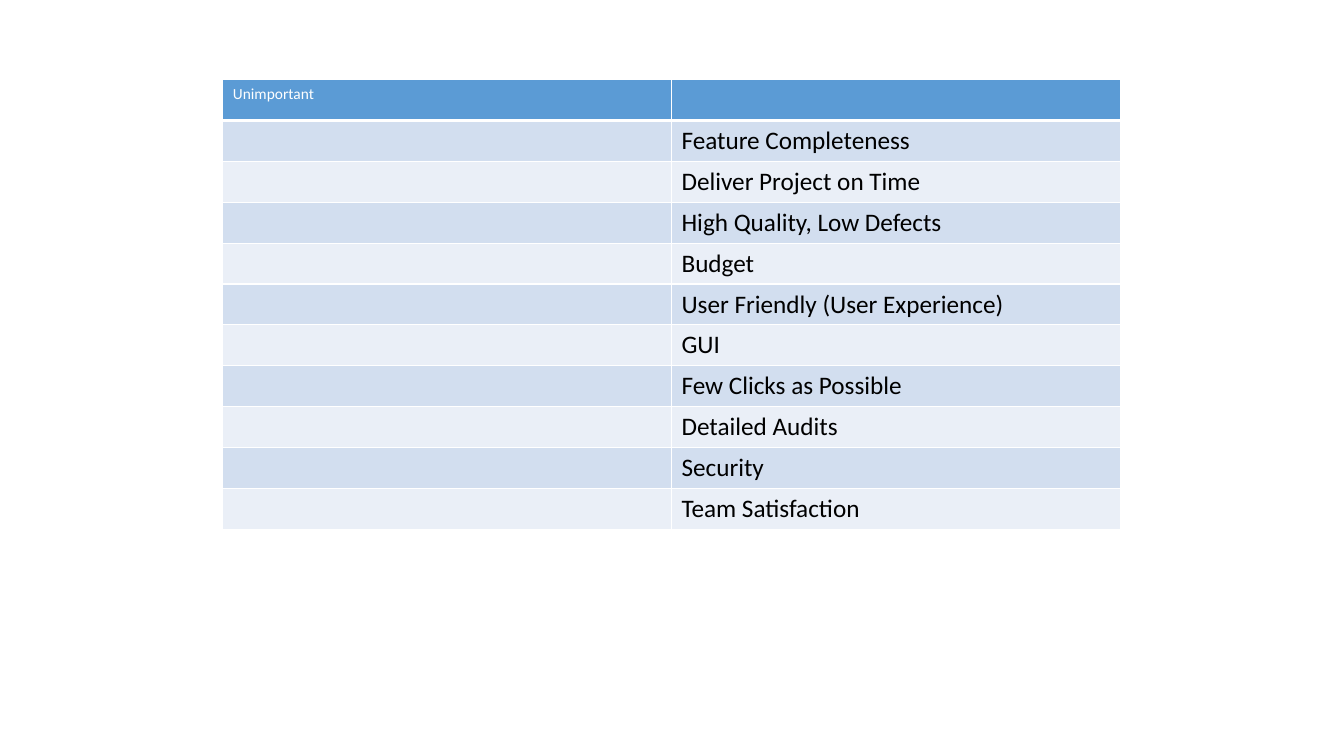
from lxml import etree
from pptx import Presentation
from pptx import util as u
from pptx.dml import color
from pptx.oxml import ns

SCALE = 9144
WHITE = "FFFFFF"
BLACK = "000000"
BLUE = "5B9BD5"
BANDS = ("D2DEEF", "EAEFF7")
GOALS = (
    "Feature Completeness",
    "Deliver Project on Time",
    "High Quality, Low Defects",
    "Budget",
    "User Friendly (User Experience)",
    "GUI",
    "Few Clicks as Possible",
    "Detailed Audits",
    "Security",
    "Team Satisfaction",
)


def px(n):
    return u.Emu(n * SCALE)


def rgb(code):
    return color.RGBColor.from_string(code)


class Deck:
    font = "Calibri"

    def __init__(self, width, height):
        self.prs = Presentation()
        self.prs.slide_width = px(width)
        self.prs.slide_height = px(height)
        self.slide = self.prs.slides.add_slide(self.prs.slide_layouts[6])

    def edge(self, cell, side, width):
        props = cell._tc.get_or_add_tcPr()
        line = etree.SubElement(props, ns.qn(f"a:ln{side}"), w=str(u.Pt(width)))
        fill = etree.SubElement(line, ns.qn("a:solidFill"))
        etree.SubElement(fill, ns.qn("a:srgbClr"), val=WHITE)

    def cell(self, cell, words, size, ink, fill, top=1, bottom=1):
        for side, width in (("L", 1), ("R", 1), ("T", top), ("B", bottom)):
            self.edge(cell, side, width)
        cell.fill.solid()
        cell.fill.fore_color.rgb = rgb(fill)
        if words:
            run = cell.text_frame.paragraphs[0].add_run()
            run.text = words
            run.font.name = self.font
            run.font.size = u.Pt(size)
            run.font.bold = False
            run.font.color.rgb = rgb(ink)

    def table(self, left, top, width, row, head, body):
        count = len(body) + 1
        frame = self.slide.shapes.add_table(
            count, len(head), px(left), px(top), px(width), px(row * count))
        grid = frame.table
        for line in grid.rows:
            line.height = px(row)
        for c, words in enumerate(head):
            self.cell(grid.cell(0, c), words, 11, WHITE, BLUE, bottom=3)
        for r, line in enumerate(body):
            for c, words in enumerate(line):
                self.cell(grid.cell(r + 1, c), words, 18, BLACK, BANDS[r % 2],
                          top=1 if r else 3)


def main():
    deck = Deck(1333, 750)
    deck.table(221, 79, 890, 40, ("Unimportant", ""),
               [("", goal) for goal in GOALS])
    deck.prs.save("out.pptx")


if __name__ == "__main__":
    main()
